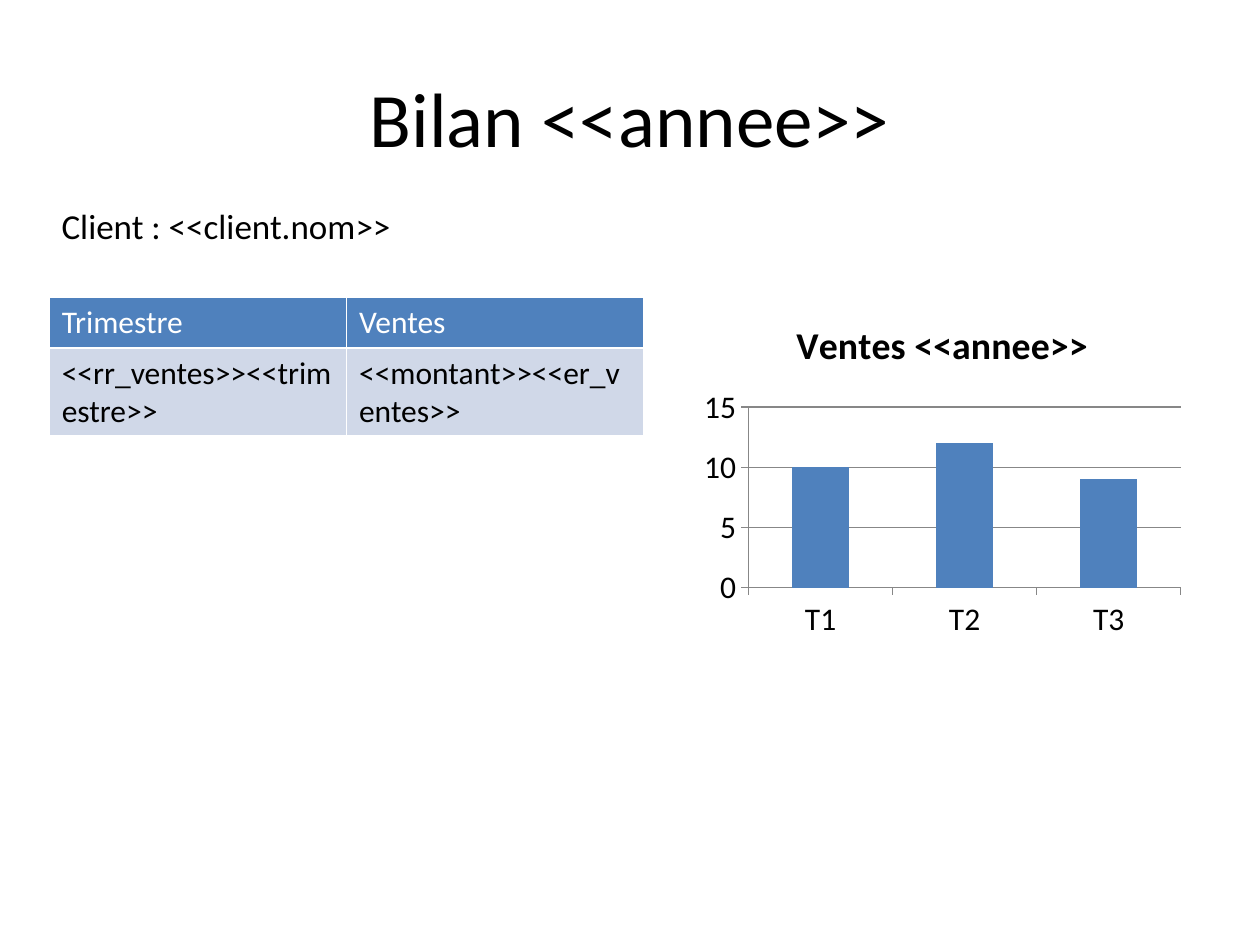
from pptx import Presentation
from pptx.chart.data import CategoryChartData
from pptx.dml.color import RGBColor
from pptx.enum.chart import XL_CHART_TYPE as ChartType, XL_TICK_MARK as Tick
from pptx.enum.text import MSO_ANCHOR as Anchor, MSO_AUTO_SIZE as AutoSize, PP_ALIGN as Align
from pptx.util import Inches, Pt

COLORS = {"text": "000000", "header_text": "FFFFFF", "blue": "4F81BD",
          "row": "D0D8E8", "axis": "878787"}
FONT = "Calibri"
LEFT = 0.39
CONTENT_TOP = 2.36


def color(name):
    return RGBColor.from_string(COLORS[name])


def style_font(font, size, tint="text", bold=False):
    font.name = FONT
    font.size = Pt(size)
    font.bold = bold
    font.color.rgb = color(tint)


def write(frame, text, size=18, tint="text", bold=False, align=Align.LEFT):
    paragraph = frame.paragraphs[0]
    paragraph.alignment = align
    run = paragraph.add_run()
    run.text = text
    style_font(run.font, size, tint, bold)


def style_line(line):
    line.color.rgb = color("axis")
    line.width = Pt(0.75)


def add_title(slide, text):
    title = slide.shapes.title
    title.left, title.top = Inches(0.5), Inches(0.3)
    title.width, title.height = Inches(9), Inches(1.25)
    title.text_frame.vertical_anchor = Anchor.MIDDLE
    write(title.text_frame, text, size=44, align=Align.CENTER)


def add_client(slide, text):
    client = slide.shapes.add_textbox(Inches(LEFT), Inches(1.57), Inches(2.81), Inches(0.43))
    client.text_frame.word_wrap = False
    client.text_frame.auto_size = AutoSize.SHAPE_TO_FIT_TEXT
    write(client.text_frame, text, size=20)


def add_sales_table(slide, rows):
    """The default table style supplies the white cell borders."""
    table = slide.shapes.add_table(
        len(rows), len(rows[0]), Inches(LEFT), Inches(CONTENT_TOP),
        Inches(4.72), Inches(0.39 * len(rows))).table
    for r, row in enumerate(rows):
        fill, tint = ("row", "text") if r else ("blue", "header_text")
        for c, text in enumerate(row):
            cell = table.cell(r, c)
            cell.fill.solid()
            cell.fill.fore_color.rgb = color(fill)
            write(cell.text_frame, text, tint=tint)


def add_sales_chart(slide, title, quarters, sales):
    data = CategoryChartData()
    data.categories = quarters
    data.add_series("Series 1", sales)
    chart = slide.shapes.add_chart(
        ChartType.COLUMN_CLUSTERED, Inches(5.51), Inches(CONTENT_TOP),
        Inches(3.94), Inches(2.76), data).chart
    style_font(chart.font, 18)
    chart.has_legend = False
    chart.has_title = True
    write(chart.chart_title.text_frame, title, size=21.6, bold=True, align=Align.CENTER)
    chart.chart_title.include_in_layout = False

    for axis in (chart.category_axis, chart.value_axis):
        axis.major_tick_mark = Tick.OUTSIDE
        axis.minor_tick_mark = Tick.NONE
        style_font(axis.tick_labels.font, 18)
        style_line(axis.format.line)
    chart.value_axis.has_major_gridlines = True
    style_line(chart.value_axis.major_gridlines.format.line)

    plot = chart.plots[0]
    plot.gap_width = 150
    plot.vary_by_categories = False
    columns = plot.series[0].format.fill
    columns.solid()
    columns.fore_color.rgb = color("blue")


def main():
    prs = Presentation()
    prs.slide_width, prs.slide_height = Inches(10), Inches(7.5)
    slide = prs.slides.add_slide(prs.slide_layouts[5])
    add_title(slide, "Bilan <<annee>>")
    add_client(slide, "Client : <<client.nom>>")
    add_sales_table(slide, [
        ("Trimestre", "Ventes"),
        ("<<rr_ventes>><<trimestre>>", "<<montant>><<er_ventes>>"),
    ])
    add_sales_chart(slide, "Ventes <<annee>>", ("T1", "T2", "T3"), (10, 12, 9))
    prs.save("out.pptx")


if __name__ == "__main__":
    main()
